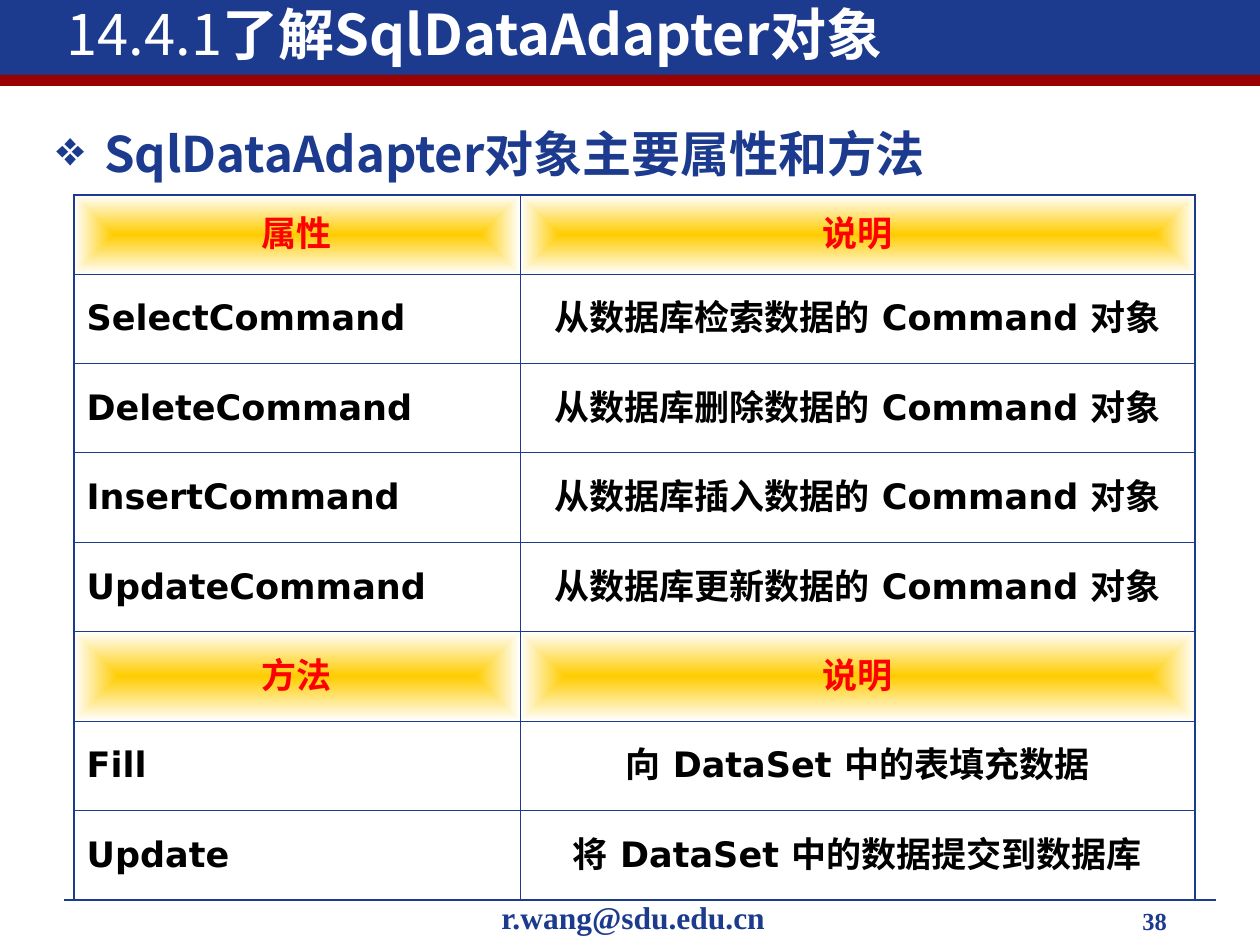
from lxml.etree import SubElement
from pptx import Presentation
from pptx.dml.color import RGBColor
from pptx.enum.shapes import MSO_CONNECTOR as Connector, MSO_SHAPE as Shape
from pptx.enum.text import MSO_ANCHOR as Anchor, MSO_AUTO_SIZE as AutoSize, PP_ALIGN as Align
from pptx.oxml import parse_xml
from pptx.oxml.ns import nsdecls, qn
from pptx.util import Emu, Pt

COLORS = {"blue": "1C3A8E", "crimson": "990000", "white": "FFFFFF",
          "gold": "FFCC00", "red": "FF0000", "black": "000000"}
SANS, TABLE_FONT, SERIF = "Noto Sans CJK SC", "DejaVu Sans", "Times New Roman"
THIN, THICK = 0.45, 1.08
ROWS = [
    ("属性", "说明"),
    ("SelectCommand", "从数据库检索数据的 Command 对象"),
    ("DeleteCommand", "从数据库删除数据的 Command 对象"),
    ("InsertCommand", "从数据库插入数据的 Command 对象"),
    ("UpdateCommand", "从数据库更新数据的 Command 对象"),
    ("方法", "说明"),
    ("Fill", "向 DataSet 中的表填充数据"),
    ("Update", "将 DataSet 中的数据提交到数据库"),
]
HEADER_ROWS = (0, 5)


def px(length):
    """Turn pixels into EMU."""
    return Emu(round(length * 914400 / 126))


def rgb(name):
    """Return a named colour."""
    return RGBColor.from_string(COLORS[name])


def style_run(run, face, size, color, bold=True):
    """Format a run for both Latin and East Asian text."""
    font = run.font
    font.name, font.size, font.bold = face, Pt(size), bold
    font.color.rgb = rgb(color)
    SubElement(font._element, qn("a:ea")).set("typeface", face)


def add_bar(page, box, color):
    """Add a plain coloured rectangle."""
    bar = page.shapes.add_shape(Shape.RECTANGLE, *map(px, box))
    bar.shadow.inherit = False
    bar.fill.solid()
    bar.fill.fore_color.rgb = rgb(color)
    bar.line.fill.background()


def add_text(page, box, text, face, size):
    """Add a blue bold text box and return its frame."""
    frame = page.shapes.add_textbox(*map(px, box)).text_frame
    frame.word_wrap = True
    frame.text = text
    style_run(frame.paragraphs[0].runs[0], face, size, "blue")
    return frame


def add_header(page, box):
    """Place the blue band, the red stripe and the title."""
    left, top, width, height = box
    add_bar(page, (left, top, width, 79), "blue")
    add_bar(page, (left, top + 79, width, height - 79), "crimson")
    title = page.shapes.title
    title.left, title.top, title.width, title.height = map(px, (left + 54, top - 5, 904, 84))
    page.shapes._spTree.append(title._element)
    frame = title.text_frame
    frame.auto_size = AutoSize.NONE
    frame.vertical_anchor = Anchor.MIDDLE
    para = frame.paragraphs[0]
    para.alignment = Align.LEFT
    for text, bold in (("14.4.1", False), ("了解SqlDataAdapter对象", True)):
        run = para.add_run()
        run.text = text
        style_run(run, SANS, 32, "white", bold)


def add_heading(page, box):
    """Place the bulleted heading."""
    frame = add_text(page, box, "SqlDataAdapter对象主要属性和方法", SANS, 28)
    frame.margin_top = px(28)
    props = frame.paragraphs[0]._p.get_or_add_pPr()
    props.set("marL", str(px(48)))
    props.set("indent", str(-px(48)))
    color = SubElement(props, qn("a:buClr"))
    SubElement(color, qn("a:srgbClr")).set("val", COLORS["blue"])
    SubElement(props, qn("a:buChar")).set("char", "❖")


def set_borders(cell, widths):
    """Draw the four borders of a cell."""
    props = cell._tc.get_or_add_tcPr()
    for side, width in zip("LRTB", widths):
        props.append(parse_xml(
            f'<a:ln{side} {nsdecls("a")} w="{Pt(width)}"><a:solidFill>'
            f'<a:srgbClr val="{COLORS["blue"]}"/></a:solidFill></a:ln{side}>'))


def fill_header(cell):
    """Give a cell a gold glow that fades to white at its edges."""
    cell._tc.get_or_add_tcPr().append(parse_xml(
        f'<a:gradFill {nsdecls("a")}><a:gsLst>'
        f'<a:gs pos="0"><a:srgbClr val="{COLORS["gold"]}"/></a:gs>'
        f'<a:gs pos="100000"><a:srgbClr val="{COLORS["white"]}"/></a:gs></a:gsLst>'
        '<a:path path="rect"><a:fillToRect l="50000" t="50000" r="50000" b="50000"/>'
        '</a:path></a:gradFill>'))


def add_members_table(page, box):
    """Place the table of properties and methods."""
    left, top, width, height = box
    first_width, first_height = 446, 79
    table = page.shapes.add_table(len(ROWS), 2, *map(px, box)).table
    table.first_row = table.horz_banding = False
    table.columns[0].width = px(first_width)
    table.columns[1].width = px(width - first_width)
    last = len(ROWS) - 1
    for r, texts in enumerate(ROWS):
        table.rows[r].height = px((height - first_height) / last if r else first_height)
        is_header = r in HEADER_ROWS
        for c, text in enumerate(texts):
            cell = table.cell(r, c)
            cell.vertical_anchor = Anchor.MIDDLE
            outer = (c == 0, c == 1, r == 0, r == last)
            set_borders(cell, [THICK if edge else THIN for edge in outer])
            if is_header:
                fill_header(cell)
            else:
                cell.fill.background()
            cell.text = text
            para = cell.text_frame.paragraphs[0]
            para.alignment = Align.CENTER if is_header or c else Align.LEFT
            style_run(para.runs[0], TABLE_FONT, 20, "red" if is_header else "black")


def add_footer(page, box):
    """Place the footer rule, the address and the page number."""
    left, top, width, height = box
    rule = page.shapes.add_connector(
        Connector.STRAIGHT, px(left), px(top), px(left + width), px(top))
    rule.line.color.rgb = rgb("blue")
    rule.line.width = Pt(0.75)
    SubElement(rule._element.spPr, qn("a:effectLst"))
    add_text(page, (left + 1066, top, 125, height), "38", SERIF, 14)
    add_text(page, (left + 425, top - 8, 399, 34), "r.wang@sdu.edu.cn", SERIF, 18)


def main():
    """Build the slide and save it."""
    deck = Presentation()
    deck.slide_width, deck.slide_height = px(1260), px(945)
    page = deck.slides.add_slide(deck.slide_layouts[5])
    add_header(page, (0, -4, 1260, 90))
    add_heading(page, (44, 96, 1191, 776))
    add_footer(page, (64, 900, 1152, 42))
    add_members_table(page, (74, 195, 1121, 705))
    deck.save("out.pptx")


if __name__ == "__main__":
    main()
